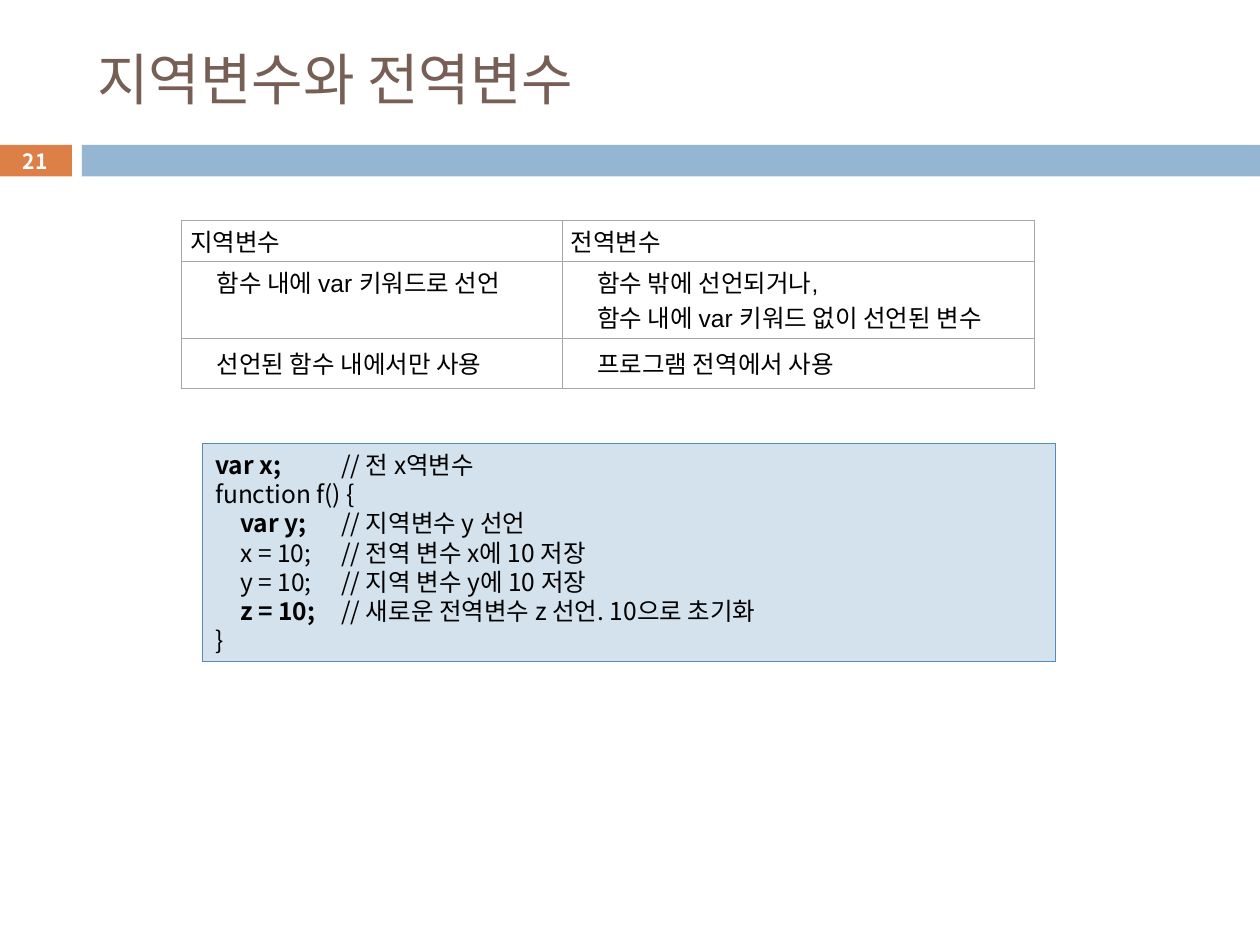
from lxml import etree
from pptx import Presentation
from pptx.dml.color import RGBColor
from pptx.enum.shapes import MSO_SHAPE
from pptx.enum.text import MSO_ANCHOR, PP_ALIGN
from pptx.oxml.ns import qn
from pptx.util import Inches, Pt

RECTANGLE = MSO_SHAPE.RECTANGLE
TOP, MIDDLE = MSO_ANCHOR.TOP, MSO_ANCHOR.MIDDLE
LEFT, CENTER = PP_ALIGN.LEFT, PP_ALIGN.CENTER

ORANGE = RGBColor(0xDD, 0x80, 0x47)
BLUE = RGBColor(0x94, 0xB6, 0xD2)
PALE_BLUE = RGBColor(0xD4, 0xE2, 0xED)
CODE_LINE = RGBColor(0x55, 0x8B, 0xB8)
BROWN = RGBColor(0x77, 0x5F, 0x55)
GRAY = RGBColor(0xA6, 0xA6, 0xA6)
BLACK = RGBColor(0, 0, 0)
WHITE = RGBColor(0xFF, 0xFF, 0xFF)

KOREAN_FONT = "Noto Sans CJK KR"
TABLE_FONT = "Arial"

TABLE_ROWS = [
    ("지역변수", "전역변수"),
    ("함수 내에 var 키워드로 선언",
     "함수 밖에 선언되거나,\n함수 내에 var 키워드 없이 선언된 변수"),
    ("선언된 함수 내에서만 사용", "프로그램 전역에서 사용"),
]
CODE_LINES = [
    [("var x; ", True), ("\t// 전 x역변수", False)],
    [("function f() {", False)],
    [("\tvar y; ", True), ("\t// 지역변수 y 선언", False)],
    [("\tx = 10; \t// 전역 변수 x에 10 저장", False)],
    [("\ty = 10; \t// 지역 변수 y에 10 저장", False)],
    [("\tz = 10; ", True), ("\t// 새로운 전역변수 z 선언. 10으로 초기화", False)],
    [("}", False)],
]


def format_run(run, size, color, bold=False, font=KOREAN_FONT):
    run.font.size = Pt(size)
    run.font.bold = bold
    run.font.color.rgb = color
    run.font.name = font
    latin = run.font._element.find(qn("a:latin"))
    east_asian = etree.Element(qn("a:ea"), typeface=KOREAN_FONT)
    latin.addnext(east_asian)


def add_box(slide, left, top, width, height, fill):
    shape = slide.shapes.add_shape(RECTANGLE, left, top, width, height)
    shape.shadow.inherit = False
    shape.fill.solid()
    shape.fill.fore_color.rgb = fill
    shape.line.fill.background()
    return shape


def add_title(slide, left, top, width, height):
    title = slide.shapes.title
    title.left, title.top, title.width, title.height = left, top, width, height
    frame = title.text_frame
    frame.text = "지역변수와 전역변수"
    frame.vertical_anchor = MIDDLE
    frame.paragraphs[0].alignment = LEFT
    format_run(frame.paragraphs[0].runs[0], 32, BROWN)


def add_number_band(slide, left, top, width, height):
    number_width = Inches(0.58)
    bar_offset = Inches(0.66)
    number = add_box(slide, left, top, number_width, height, ORANGE)
    add_box(slide, left + bar_offset, top, width - bar_offset, height, BLUE)
    frame = number.text_frame
    frame.margin_top = frame.margin_bottom = 0
    frame.vertical_anchor = MIDDLE
    frame.text = "21"
    frame.paragraphs[0].alignment = CENTER
    format_run(frame.paragraphs[0].runs[0], 12, WHITE, bold=True)


def set_cell_borders(cell):
    properties = cell._tc.get_or_add_tcPr()
    for index, side in enumerate(("lnL", "lnR", "lnT", "lnB")):
        border = etree.Element(qn(f"a:{side}"), w=str(Pt(0.5)))
        fill = etree.SubElement(border, qn("a:solidFill"))
        etree.SubElement(fill, qn("a:srgbClr"), val=str(GRAY))
        properties.insert(index, border)


def fill_cell(cell, text, is_header, anchor):
    cell.margin_left = cell.margin_right = Inches(0.07)
    cell.margin_top = cell.margin_bottom = Inches(0.02)
    cell.vertical_anchor = anchor
    cell.fill.background()
    set_cell_borders(cell)
    cell.text_frame.text = text
    for paragraph in cell.text_frame.paragraphs:
        if not is_header:
            properties = paragraph._p.get_or_add_pPr()
            properties.set("marL", str(Inches(0.21)))
            properties.set("indent", "0")
        format_run(paragraph.runs[0], 14, BLACK, font=TABLE_FONT)


def add_comparison_table(slide, left, top, width, height):
    frame = slide.shapes.add_table(len(TABLE_ROWS), 2, left, top, width, height)
    table = frame.table
    table.first_row = table.horz_banding = False
    first_width = Inches(3.02)
    table.columns[0].width = first_width
    table.columns[1].width = width - first_width
    row_formats = zip(TABLE_ROWS, (0.32, 0.61, 0.4), (MIDDLE, TOP, MIDDLE))
    for row_index, (texts, row_height, anchor) in enumerate(row_formats):
        table.rows[row_index].height = Inches(row_height)
        for column_index, text in enumerate(texts):
            cell = table.cell(row_index, column_index)
            fill_cell(cell, text, row_index == 0, anchor)


def set_tab_stops(paragraph, positions):
    properties = paragraph._p.get_or_add_pPr()
    stops = etree.SubElement(properties, qn("a:tabLst"))
    for position in positions:
        etree.SubElement(stops, qn("a:tab"), pos=str(Inches(position)), algn="l")


def add_code_box(slide, left, top, width, height):
    box = add_box(slide, left, top, width, height, PALE_BLUE)
    box.line.color.rgb = CODE_LINE
    box.line.width = Pt(0.75)
    frame = box.text_frame
    frame.word_wrap = True
    frame.vertical_anchor = TOP
    frame.text = "\n" * (len(CODE_LINES) - 1)
    for paragraph, parts in zip(frame.paragraphs, CODE_LINES):
        set_tab_stops(paragraph, (0.2, 1))
        paragraph.alignment = LEFT
        paragraph.line_spacing = Pt(16.75)
        for text, bold in parts:
            run = paragraph.add_run()
            run.text = text
            format_run(run, 14, BLACK, bold)


def main():
    presentation = Presentation()
    presentation.slide_width = Inches(10)
    presentation.slide_height = Inches(7.5)
    slide = presentation.slides.add_slide(presentation.slide_layouts[5])
    add_number_band(slide, Inches(-0.01), Inches(1.15), Inches(10.01), Inches(0.25))
    add_code_box(slide, Inches(1.61), Inches(3.52), Inches(6.77), Inches(1.73))
    add_title(slide, Inches(0.67), Inches(0.25), Inches(8.92), Inches(0.74))
    add_comparison_table(slide, Inches(1.44), Inches(1.75), Inches(6.77), Inches(1.33))
    presentation.save("out.pptx")


if __name__ == "__main__":
    main()
